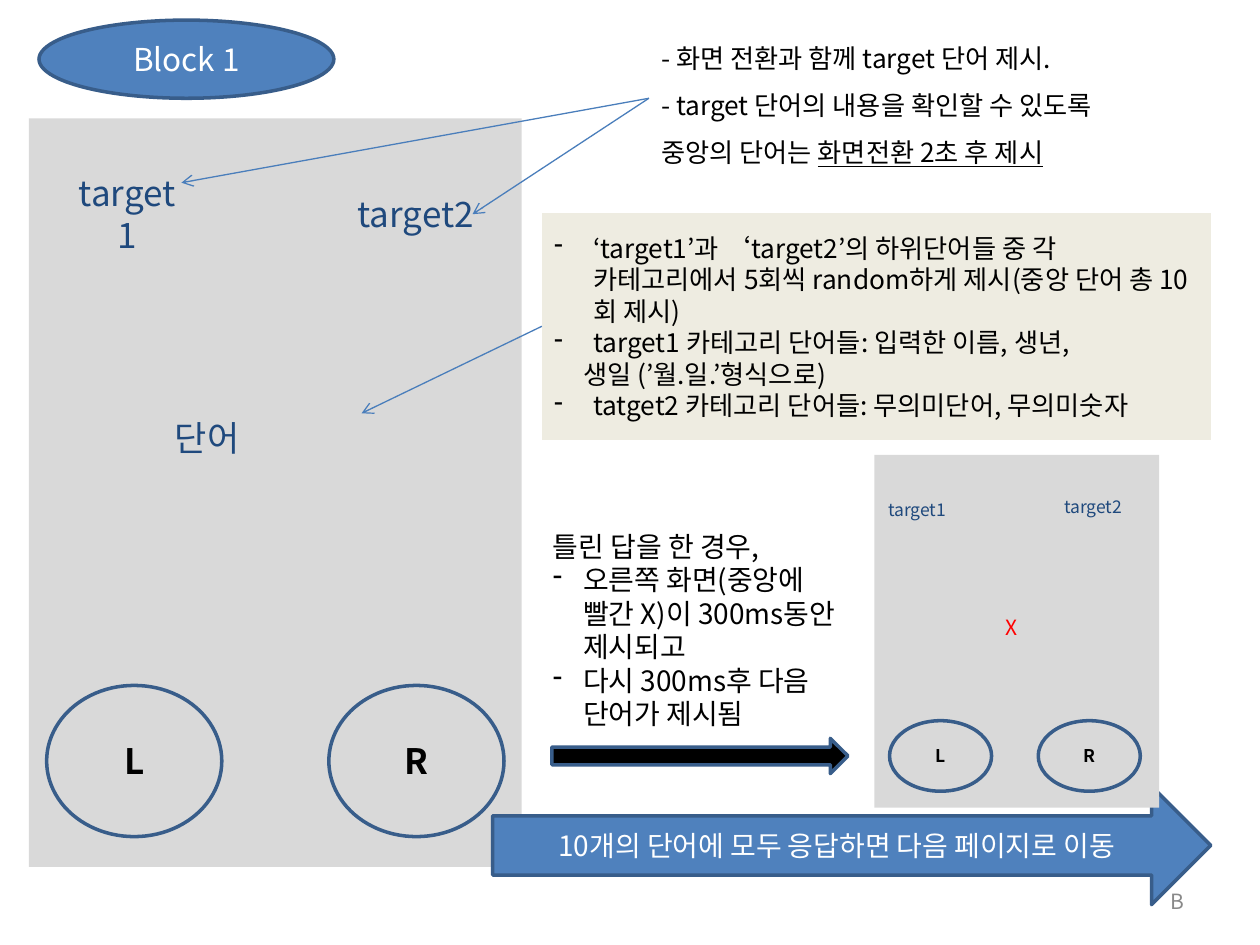
from lxml import etree
from pptx import Presentation
from pptx import util as u
from pptx.dml.color import RGBColor
from pptx.enum import shapes, text
from pptx.oxml.ns import qn

PX = 9144  # 100 px to the inch
FONT = "Noto Sans CJK KR"
WHITE = RGBColor(0xFF, 0xFF, 0xFF)
BLACK = RGBColor(0, 0, 0)
RED = RGBColor(0xFF, 0, 0)
PANEL = RGBColor(0xD9, 0xD9, 0xD9)
CREAM = RGBColor(0xEE, 0xEC, 0xE1)
BLUE = RGBColor(0x4F, 0x81, 0xBD)
OUTLINE = RGBColor(0x38, 0x5D, 0x8A)
LEADER = RGBColor(0x4A, 0x7E, 0xBB)
NAVY = RGBColor(0x1F, 0x49, 0x7D)
GREY = RGBColor(0x89, 0x89, 0x89)

KIND = shapes.MSO_SHAPE
MIDDLE, TOP, BOTTOM = (text.MSO_ANCHOR.MIDDLE, text.MSO_ANCHOR.TOP,
                       text.MSO_ANCHOR.BOTTOM)
LEFT, CENTER, RIGHT = (text.PP_ALIGN.LEFT, text.PP_ALIGN.CENTER,
                       text.PP_ALIGN.RIGHT)


def emu(box):
    return [n * PX for n in box]


def within(box, part):
    """Move a part's box by the corner of the box that holds it."""
    return (box[0] + part[0], box[1] + part[1], part[2], part[3])


def add_run(p, words, size, color, **extra):
    r = p.add_run()
    r.text = words
    for name, value in {"name": FONT, "size": u.Pt(size), **extra}.items():
        setattr(r.font, name, value)
    r.font.color.rgb = color
    etree.SubElement(r.font._element, qn("a:ea"), typeface=FONT)


def set_indent(p, left, hanging=0, bullet=None):
    pPr = p._p.get_or_add_pPr()
    pPr.set("marL", str(left * PX))
    pPr.set("indent", str(-hanging * PX))
    if bullet:
        etree.SubElement(pPr, qn("a:buChar"), char=bullet)


def write(sp, lines, size, color, align=LEFT, anchor=MIDDLE, spacing=None, **extra):
    """Fill a shape with lines of (words, indent); indent holds set_indent values."""
    tf = sp.text_frame
    tf.word_wrap = True
    tf.vertical_anchor = anchor
    for i, (words, indent) in enumerate(lines):
        p = tf.add_paragraph() if i else tf.paragraphs[0]
        p.alignment = align
        if spacing:
            p.line_spacing = spacing
        if indent:
            set_indent(p, *indent)
        add_run(p, words, size, color, **extra)
    return tf


def add_shape(s, kind, box, fill=None, line=None):
    sp = s.shapes.add_shape(kind, *emu(box))
    sp.shadow.inherit = False
    if fill is None:
        sp.fill.background()
    else:
        sp.fill.solid()
        sp.fill.fore_color.rgb = fill
    if line is None:
        sp.line.fill.background()
    else:
        sp.line.color.rgb = line
        sp.line.width = u.Pt(2)
    return sp


def add_leader(s, start, end):
    ln = s.shapes.add_connector(shapes.MSO_CONNECTOR.STRAIGHT, *emu(start + end))
    ln.line.color.rgb = LEADER
    ln.line.width = u.Pt(0.75)
    etree.SubElement(ln.line._get_or_add_ln(), qn("a:tailEnd"), type="arrow")
    etree.SubElement(ln._element.spPr, qn("a:effectLst"))


def test_screen(s, box, word, targets, buttons, size):
    """Grey response screen: word is (text, box, size, colour, align, indent)."""
    add_shape(s, KIND.RECTANGLE, box, PANEL)
    words, part, word_size, color, align, indent = word
    tb = s.shapes.add_textbox(*emu(within(box, part)))
    write(tb, [(words, indent)], word_size, color, align, BOTTOM)
    for name, part in zip(("target1", "target2"), targets):
        sp = add_shape(s, KIND.OVAL, within(box, part))
        write(sp, [(name, None)], size, NAVY, CENTER)
    for name, part in zip("LR", buttons):
        sp = add_shape(s, KIND.OVAL, within(box, part), line=OUTLINE)
        write(sp, [(name, None)], size, BLACK, CENTER, bold=True)


def block_heading(s, box):
    sp = add_shape(s, KIND.OVAL, box, BLUE, OUTLINE)
    write(sp, [("Block 1", None)], 18, WHITE, CENTER)


def next_page_arrow(s, box):
    sp = add_shape(s, KIND.RIGHT_ARROW, box, BLUE, OUTLINE)
    write(sp, [("10개의 단어에 모두 응답하면 다음 페이지로 이동", None)],
          16, WHITE, CENTER)


def target_note(s, box):
    tb = s.shapes.add_textbox(*emu(box))
    tf = write(tb, [("- 화면 전환과 함께 target 단어 제시.", None),
                    ("- target 단어의 내용을 확인할 수 있도록", None),
                    ("중앙의 단어는 ", None)],
               15, BLACK, anchor=TOP, spacing=1.5)
    add_run(tf.paragraphs[-1], "화면전환 2초 후 제시", 15, BLACK, underline=True)


def word_note(s, box):
    sp = add_shape(s, KIND.LINE_CALLOUT_1, box, CREAM)
    for i, value in enumerate((0.19, -0.08, 0.86, -0.76)):
        sp.adjustments[i] = value
    dash = (31, 31, "-")
    write(sp, [("‘target1’과 ‘target2’의 하위단어들 중 각 카테고리에서 5회씩 "
                "random하게 제시(중앙 단어 총 10회 제시)", dash),
               ("target1 카테고리 단어들: 입력한 이름, 생년,", dash),
               ("생일 (’월.일.’형식으로)", (23,)),
               ("tatget2 카테고리 단어들: 무의미단어, 무의미숫자", dash)], 15, BLACK)


def error_note(s, box):
    tb = s.shapes.add_textbox(*emu(box))
    dash = (24, 24, "-")
    write(tb, [("틀린 답을 한 경우,", None),
               ("오른쪽 화면(중앙에 빨간 X)이 300ms동안 제시되고", dash),
               ("다시 300ms후 다음 단어가 제시됨", dash)], 16, BLACK, anchor=TOP)
    arrow = within(box, (9, 171, 235, 28))
    add_shape(s, KIND.RIGHT_ARROW, arrow, BLACK, OUTLINE)


def page_mark(s, box):
    tb = s.shapes.add_textbox(*emu(box))
    write(tb, [("B", None)], 12, GREY, RIGHT)


def main():
    prs = Presentation()
    prs.slide_width, prs.slide_height = emu((1000, 750))
    s = prs.slides.add_slide(prs.slide_layouts[6])

    test_screen(s, (23, 94, 391, 594),
                ("단어", (32, 31, 336, 244), 20, NAVY, LEFT, (74,)),
                [(0, 52, 156, 47), (223, 52, 168, 47)],
                [(x, 450, 139, 120) for x in (14, 238)], 20)
    next_page_arrow(s, (391, 624, 570, 94))
    block_heading(s, (31, 16, 234, 62))
    for end in ((144, 145), (375, 170)):
        add_leader(s, (515, 78), end)
    target_note(s, (515, 16, 426, 123))
    word_note(s, (430, 169, 531, 180))
    test_screen(s, (694, 361, 226, 280),
                ("X", (12, 22, 194, 130), 12, RED, CENTER, None),
                [(-22, 32, 112, 22), (125, 30, 97, 22)],
                [(x, 211, 81, 56) for x in (12, 130)], 10)
    error_note(s, (429, 415, 250, 170))
    add_leader(s, (430, 259), (287, 328))
    page_mark(s, (717, 695, 233, 40))
    prs.save("out.pptx")


if __name__ == "__main__":
    main()
